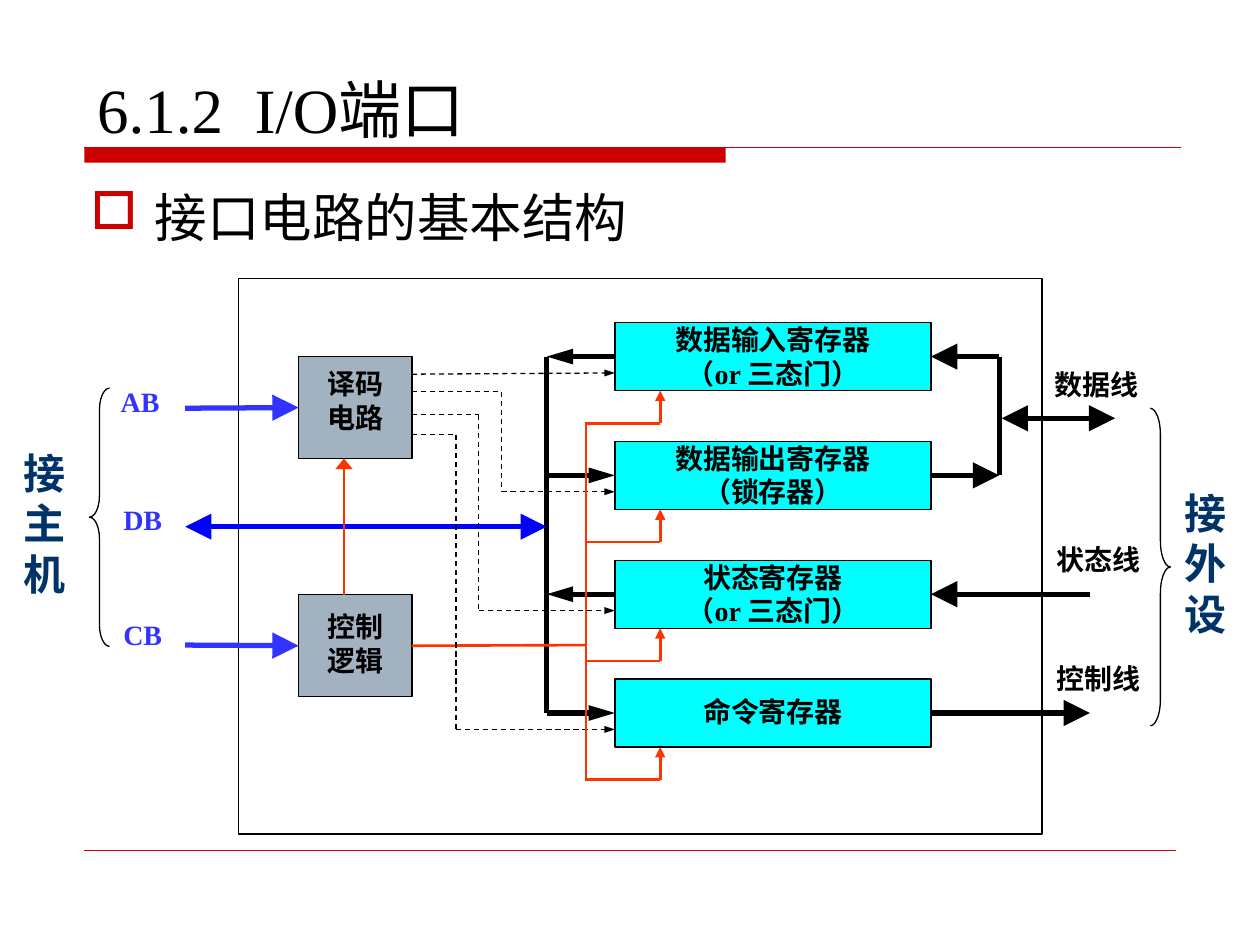
from lxml import etree
from pptx import Presentation
from pptx.dml.color import RGBColor
from pptx.enum.dml import MSO_LINE
from pptx.enum.shapes import MSO_CONNECTOR, MSO_SHAPE
from pptx.enum.text import MSO_ANCHOR, PP_ALIGN
from pptx.oxml.ns import qn
from pptx.util import Inches, Pt

STRAIGHT = MSO_CONNECTOR.STRAIGHT
RECTANGLE = MSO_SHAPE.RECTANGLE
LEFT_BRACE, RIGHT_BRACE = MSO_SHAPE.LEFT_BRACE, MSO_SHAPE.RIGHT_BRACE
DASH = MSO_LINE.DASH
TOP, BOTTOM = MSO_ANCHOR.TOP, MSO_ANCHOR.BOTTOM
LEFT, CENTER = PP_ALIGN.LEFT, PP_ALIGN.CENTER
LEFT_SIDE, RIGHT_SIDE = 1, 3

BLACK = RGBColor(0x00, 0x00, 0x00)
WHITE = RGBColor(0xFF, 0xFF, 0xFF)
RULE_RED = RGBColor(0xCC, 0x00, 0x00)
CONTROL_RED = RGBColor(0xFF, 0x33, 0x00)
CYAN = RGBColor(0x00, 0xFF, 0xFF)
GRAY = RGBColor(0xA3, 0xB2, 0xC1)
BUS_BLUE = RGBColor(0x33, 0x33, 0xFF)
DATA_BLUE = RGBColor(0x00, 0x00, 0xFF)
NAVY = RGBColor(0x00, 0x33, 0x66)

SERIF = "Times New Roman"
# Arrowhead sizes: width, length
LARGE, SLIM = ("lg", "lg"), ("med", "lg")
MEDIUM, SMALL, BROAD = ("med", "med"), ("sm", "med"), ("lg", "med")

REGISTER_LEFT, REGISTER_WIDTH, REGISTER_HEIGHT = 4.88, 2.51, 0.54
REGISTER_TOP, REGISTER_PITCH = 2.56, 0.943
REGISTER_RIGHT = REGISTER_LEFT + REGISTER_WIDTH
BUS_X, DEVICE_X, CONTROL_X, CONTROL_ENTRY_X = 4.34, 7.93, 4.65, 5.24
HOST_X, BLOCK_LEFT, BLOCK_RIGHT = 1.47, 2.37, 3.27

# Lines of text, top inset, moves data towards the host, end of the device line,
# start height and turning point of the dashed select line
REGISTERS = [
    (["数据输入寄存器", "（or 三态门）"], 0, True, DEVICE_X, 2.97, None),
    (["数据输出寄存器", "（锁存器）"], 0, False, DEVICE_X, 3.11, 3.98),
    (["状态寄存器", "（or 三态门）"], 0, True, 8.65, 3.29, 3.8),
    (["命令寄存器"], 0.12, False, 8.65, 3.45, 3.62),
]
LINE_LABELS = [
    ("AB", 0.86, 3.05, 0.71, BUS_BLUE),
    ("DB", 0.88, 3.99, 0.71, BUS_BLUE),
    ("CB", 0.88, 4.9, 0.71, BUS_BLUE),
    ("数据线", 8.27, 2.92, 0.92, BLACK),
    ("状态线", 8.29, 4.31, 1.08, BLACK),
    ("控制线", 8.29, 5.25, 1.08, BLACK),
]


def add_run(paragraph, text, size, color, font=SERIF, bold=True):
    run = paragraph.add_run()
    run.text = text
    run.font.size = Pt(size)
    run.font.name = font
    run.font.bold = bold
    run.font.color.rgb = color


def set_frame(frame, side_inset, top_inset):
    frame.word_wrap = True
    frame.vertical_anchor = TOP
    frame.margin_left = frame.margin_right = Inches(side_inset)
    frame.margin_top, frame.margin_bottom = Inches(top_inset), 0


def add_box(slide, left, top, width, height, fill, lines=(), top_inset=0):
    box = slide.shapes.add_shape(RECTANGLE, Inches(left), Inches(top), Inches(width), Inches(height))
    box.shadow.inherit = False
    box.fill.solid()
    box.fill.fore_color.rgb = fill
    box.line.color.rgb = BLACK
    box.line.width = Pt(0.75)
    frame = box.text_frame
    set_frame(frame, 0.1, top_inset)
    for index, text in enumerate(lines):
        paragraph = frame.add_paragraph() if index else frame.paragraphs[0]
        paragraph.alignment = CENTER
        add_run(paragraph, text, 16, BLACK)
    return box


def add_line(slide, start, end, color=BLACK, width=3, head=None, tail=None, dash=None):
    """Draw a straight line; head and tail are arrowhead sizes at start and end."""
    line = slide.shapes.add_connector(STRAIGHT, *(Inches(value) for value in (*start, *end)))
    line.line.color.rgb = color
    line.line.width = Pt(width)
    if dash:
        line.line.dash_style = dash
    properties = line._element.spPr
    outline = properties.find(qn("a:ln"))
    for tag, size in (("a:headEnd", head), ("a:tailEnd", tail)):
        if size:
            etree.SubElement(outline, qn(tag), type="triangle", w=size[0], len=size[1])
    etree.SubElement(properties, qn("a:effectLst"))
    return line


def add_route(slide, points, tail=None, **style):
    """Draw a line through the points, with an arrowhead on the last stretch only."""
    for start, end in zip(points, points[1:]):
        add_line(slide, start, end, tail=tail if end == points[-1] else None, **style)


def add_text(slide, left, top, width, height, side_inset=0.1, top_inset=0):
    box = slide.shapes.add_textbox(Inches(left), Inches(top), Inches(width), Inches(height))
    set_frame(box.text_frame, side_inset, top_inset)
    return box.text_frame.paragraphs[0]


def add_side_label(slide, text, left, top):
    """Write a heading one character wide, so that it reads downwards."""
    paragraph = add_text(slide, left, top, 0.39, 1.2, side_inset=0)
    paragraph.alignment = CENTER
    paragraph.space_before = Pt(15)
    add_run(paragraph, text, 24, NAVY, font="Arial")


def add_brace(slide, kind, left, top, height, curve):
    brace = slide.shapes.add_shape(kind, Inches(left), Inches(top), Inches(0.16), Inches(height))
    brace.shadow.inherit = False
    brace.adjustments[0] = curve
    brace.fill.background()
    brace.line.color.rgb = BLACK
    brace.line.width = Pt(0.75)


def add_heading(slide):
    title = slide.shapes.title
    title.left, title.top = Inches(0.67), Inches(0.37)
    title.width, title.height = Inches(7.53), Inches(0.84)
    title.text_frame.vertical_anchor = BOTTOM
    paragraph = title.text_frame.paragraphs[0]
    paragraph.alignment = LEFT
    add_run(paragraph, "6.1.2  I/O端口", 36, BLACK, bold=False)

    bar = slide.shapes.add_shape(RECTANGLE, Inches(0.67), Inches(1.17), Inches(5.09), Inches(0.12))
    bar.shadow.inherit = False
    bar.fill.solid()
    bar.fill.fore_color.rgb = RULE_RED
    bar.line.fill.background()
    add_line(slide, (0.67, 1.17), (9.37, 1.17), RULE_RED, 0.75)
    add_line(slide, (0.67, 6.75), (9.33, 6.75), RULE_RED, 0.25)

    paragraph = add_text(slide, 0.62, 1.42, 8.75, 0.68, top_inset=0.05)
    paragraph.space_before = Pt(7.5)
    properties = paragraph._p.get_or_add_pPr()
    properties.set("marL", str(Inches(0.51)))
    properties.set("indent", str(-Inches(0.51)))
    bullet_color = etree.SubElement(properties, qn("a:buClr"))
    etree.SubElement(bullet_color, qn("a:srgbClr"), val=str(RULE_RED))
    etree.SubElement(properties, qn("a:buChar"), char="□")
    add_run(paragraph, "接口电路的基本结构", 30, BLACK, font="DejaVu Sans", bold=False)


def add_register(slide, top, lines, top_inset, to_host, device_end, select_y, turn_x):
    """Draw a register with its bus, device, select and control lines."""
    register = add_box(slide, REGISTER_LEFT, top, REGISTER_WIDTH, REGISTER_HEIGHT, CYAN, lines, top_inset)
    middle, bottom = top + REGISTER_HEIGHT / 2, top + REGISTER_HEIGHT
    bus_heads = {"tail": SLIM} if to_host else {"head": SLIM}
    device_heads = {"head": LARGE} if to_host else {"tail": LARGE}
    bus_line = add_line(slide, (REGISTER_LEFT, middle), (BUS_X, middle), **bus_heads)
    bus_line.begin_connect(register, LEFT_SIDE)
    device_line = add_line(slide, (REGISTER_RIGHT, middle), (device_end, middle), **device_heads)
    device_line.begin_connect(register, RIGHT_SIDE)

    select_end = top + 0.4
    turn = [(turn_x, select_y), (turn_x, select_end)] if turn_x else []
    select_points = [(BLOCK_RIGHT, select_y), *turn, (REGISTER_LEFT, select_end)]
    add_route(slide, select_points, tail=SMALL, width=0.75, dash=DASH)
    control_points = [(CONTROL_X, bottom + 0.26), (CONTROL_ENTRY_X, bottom + 0.26), (CONTROL_ENTRY_X, bottom)]
    add_route(slide, control_points, tail=MEDIUM, color=CONTROL_RED, width=1.5)


def add_host_side(slide):
    decoder = add_box(slide, BLOCK_LEFT, 2.83, 0.9, 0.81, GRAY, ["译码", "电路"], 0.08)
    control = add_box(slide, BLOCK_LEFT, 4.72, 0.9, 0.81, GRAY, ["控制", "逻辑"], 0.12)
    for block, y in ((decoder, 3.24), (control, 5.12)):
        line = add_line(slide, (HOST_X, y), (BLOCK_LEFT, y), BUS_BLUE, tail=LARGE)
        line.end_connect(block, LEFT_SIDE)
    add_line(slide, (HOST_X, 4.18), (BUS_X, 4.18), DATA_BLUE, head=LARGE, tail=LARGE)
    add_line(slide, (2.73, 4.72), (2.73, 3.64), CONTROL_RED, 1.5, tail=BROAD)
    control_line = add_line(slide, (BLOCK_RIGHT, 5.12), (CONTROL_X, 5.12), CONTROL_RED, 1.5)
    control_line.begin_connect(control, RIGHT_SIDE)


def main():
    presentation = Presentation()
    presentation.slide_width, presentation.slide_height = Inches(10), Inches(7.5)
    slide = presentation.slides.add_slide(presentation.slide_layouts[5])
    add_heading(slide)
    add_box(slide, 1.89, 2.21, 6.38, 4.41, WHITE)
    for text, left, top, width, color in LINE_LABELS:
        add_run(add_text(slide, left, top, width, 0.4), text, 16, color)
    add_line(slide, (BUS_X, 2.83), (BUS_X, 5.66))
    add_line(slide, (DEVICE_X, 2.83), (DEVICE_X, 3.77))
    add_line(slide, (7.95, 3.32), (8.85, 3.32), head=LARGE, tail=LARGE)
    add_host_side(slide)
    for index, register in enumerate(REGISTERS):
        add_register(slide, REGISTER_TOP + index * REGISTER_PITCH, *register)
    add_line(slide, (CONTROL_X, 3.35), (CONTROL_X, 6.2), CONTROL_RED, 1.5)
    add_brace(slide, LEFT_BRACE, 0.71, 3.08, 2.05, 1.07)
    add_brace(slide, RIGHT_BRACE, 9.13, 3.24, 2.52, 1.31)
    add_side_label(slide, "接主机", 0.16, 3.55)
    add_side_label(slide, "接外设", 9.37, 3.87)
    presentation.save("out.pptx")


if __name__ == "__main__":
    main()
